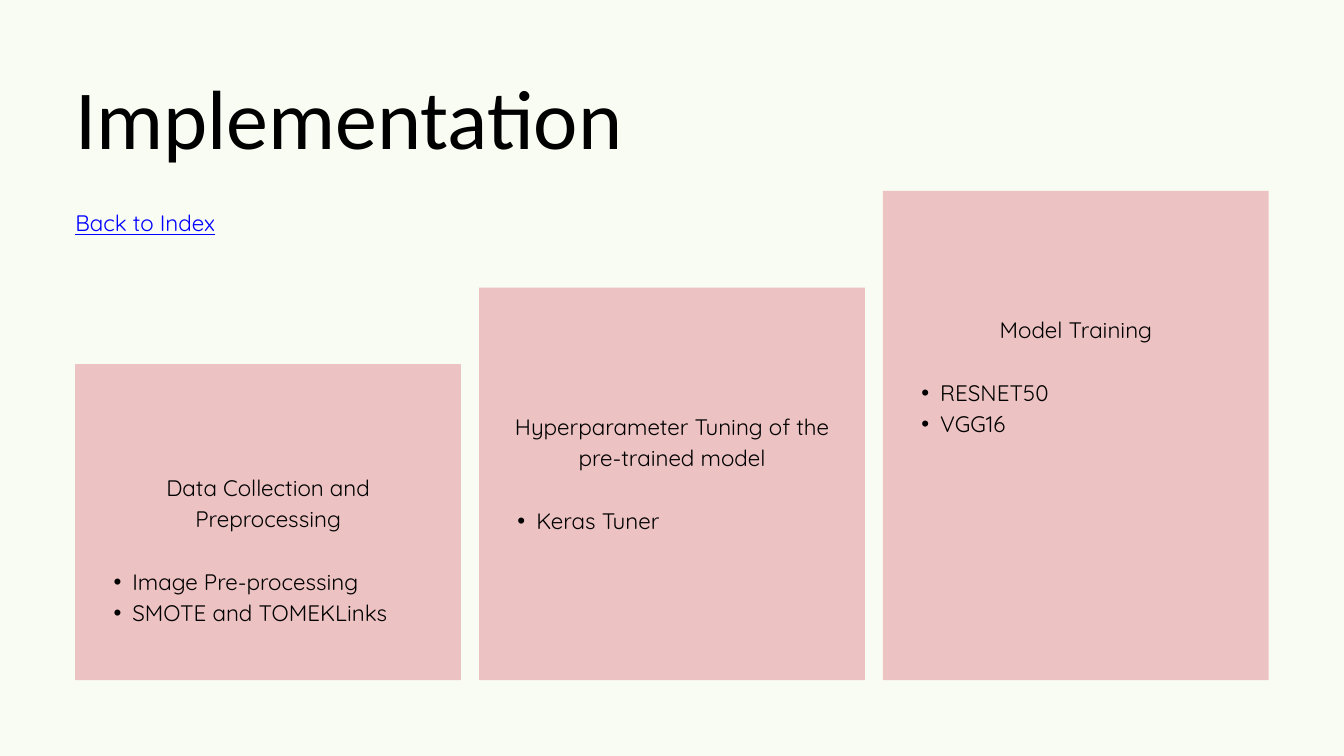
from dataclasses import dataclass

from pptx import Presentation
from pptx.dml.color import RGBColor as RGB
from pptx.enum.shapes import MSO_SHAPE as Shape
from pptx.enum.text import MSO_ANCHOR as Anchor, MSO_AUTO_SIZE as AutoSize, PP_ALIGN as Align
from pptx.oxml.ns import qn
from pptx.util import Inches, Pt


@dataclass(frozen=True)
class Theme:
    """Colours, fonts and type sizes of the slide."""
    background: RGB = RGB(0xF9, 0xFC, 0xF3)
    card: RGB = RGB(0xED, 0xC2, 0xC2)
    ink: RGB = RGB(0, 0, 0)
    link: RGB = RGB(0, 0, 0xFF)
    title_font: str = "Calibri"
    body_font: str = "Quicksand"
    title_size: Pt = Pt(90)
    title_leading: Pt = Pt(108)
    body_size: Pt = Pt(24)
    body_leading: Pt = Pt(33.6)


THEME = Theme()
TITLE = {"name": THEME.title_font, "size": THEME.title_size, "bold": False}
BODY = {"name": THEME.body_font, "size": THEME.body_size, "bold": False}
LEFT, BOTTOM, CARD_WIDTH, CARD_STEP = 1.12, 10.12, 5.74, 6.01
TEXT_HEIGHT, TEXT_RISE, CARD_PADDING = 6.01, 0.27, 0.28
CARDS = [
    (5.42, "Data Collection and Preprocessing", ["Image Pre-processing", "SMOTE and TOMEKLinks"]),
    (4.28, "Hyperparameter Tuning of the pre-trained model", ["Keras Tuner"]),
    (2.84, "Model Training", ["RESNET50", "VGG16"]),
]


def set_all(target, values):
    """Set every attribute named in a dict of values."""
    for name, value in values.items():
        setattr(target, name, value)


def place(sp, box):
    """Move a shape to a box given in inches."""
    set_all(sp, dict(zip(("left", "top", "width", "height"), map(Inches, box))))


def set_frame(tf, padding=0, anchor=Anchor.TOP):
    """Give a text frame equal margins, an anchor and wrapping."""
    margins = {f"margin_{side}": Inches(padding) for side in ("left", "top", "right", "bottom")}
    set_all(tf, {**margins, "word_wrap": True, "auto_size": AutoSize.NONE, "vertical_anchor": anchor})


def write(p, text, font, leading, align=Align.LEFT, colour=THEME.ink, before=Pt(0)):
    """Fill a paragraph with one formatted run."""
    set_all(p, {"alignment": align, "line_spacing": leading, "space_before": before, "space_after": Pt(0)})
    r = p.add_run()
    r.text = text
    set_all(r.font, font)
    r.font.color.rgb = colour


def set_bullet(p, char=None, margin=0, hang=0):
    """Give a paragraph a bullet with a hanging indent, or none."""
    pPr = p._p.get_or_add_pPr()
    pPr.set("marL", str(Inches(margin)))
    pPr.set("indent", str(Inches(-hang)))
    bullet = pPr.makeelement(qn("a:buChar" if char else "a:buNone"), {"char": char} if char else {})
    pPr.append(bullet)


def add_header(s, box):
    """Place the title and the index link below it."""
    left, top, width, height = box
    title = s.shapes.title
    place(title, box)
    set_frame(title.text_frame)
    write(title.text_frame.paragraphs[0], "Implementation", TITLE, THEME.title_leading)
    link = s.shapes.add_textbox(*map(Inches, (left, top + 2.07, 6.59, 0.46)))
    set_frame(link.text_frame)
    write(link.text_frame.paragraphs[0], "Back to Index", {**BODY, "underline": True},
          THEME.body_leading, Align.JUSTIFY, THEME.link)


def add_card(s, body, box, heading, items):
    """Draw one step card and set its heading and list over it."""
    left, top, width, height = box
    card = s.shapes.add_shape(Shape.RECTANGLE, *map(Inches, box))
    card.shadow.inherit = False
    card.fill.solid()
    card.fill.fore_color.rgb = THEME.card
    card.line.fill.background()
    card._element.addnext(body._element)
    place(body, (left, top - TEXT_RISE, width, TEXT_HEIGHT))
    tf = body.text_frame
    set_frame(tf, CARD_PADDING, Anchor.MIDDLE)
    p = tf.paragraphs[0]
    set_bullet(p)
    write(p, heading, BODY, THEME.body_leading, Align.CENTER)
    for i, item in enumerate(items):
        p = tf.add_paragraph()
        p.level = 1
        set_bullet(p, "•", 0.57, 0.28)
        write(p, item, BODY, THEME.body_leading, before=Pt(0) if i else THEME.body_leading)


def main():
    """Build and save the slide."""
    prs = Presentation()
    prs.slide_width, prs.slide_height = Inches(20), Inches(11.25)
    s = prs.slides.add_slide(prs.slide_layouts.get_by_name("Comparison"))
    s.background.fill.solid()
    s.background.fill.fore_color.rgb = THEME.background
    *bodies, spare = list(s.placeholders)[1:]
    spare._element.getparent().remove(spare._element)
    for i, (body, (top, heading, items)) in enumerate(zip(bodies, CARDS)):
        box = (LEFT + i * CARD_STEP, top, CARD_WIDTH, BOTTOM - top)
        add_card(s, body, box, heading, items)
    add_header(s, (LEFT, 0.98, 10.18, 1.65))
    prs.save("out.pptx")


if __name__ == "__main__":
    main()
